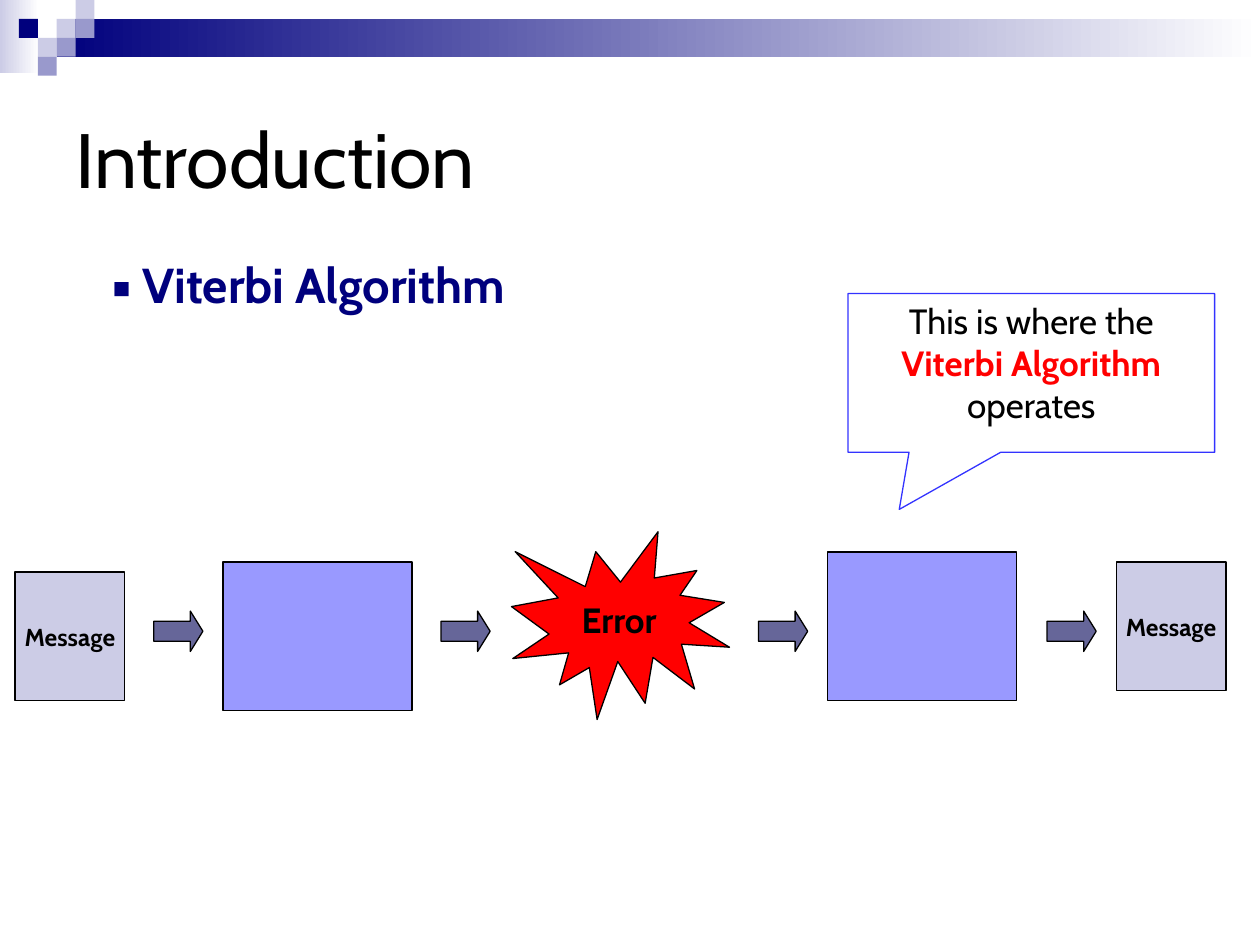
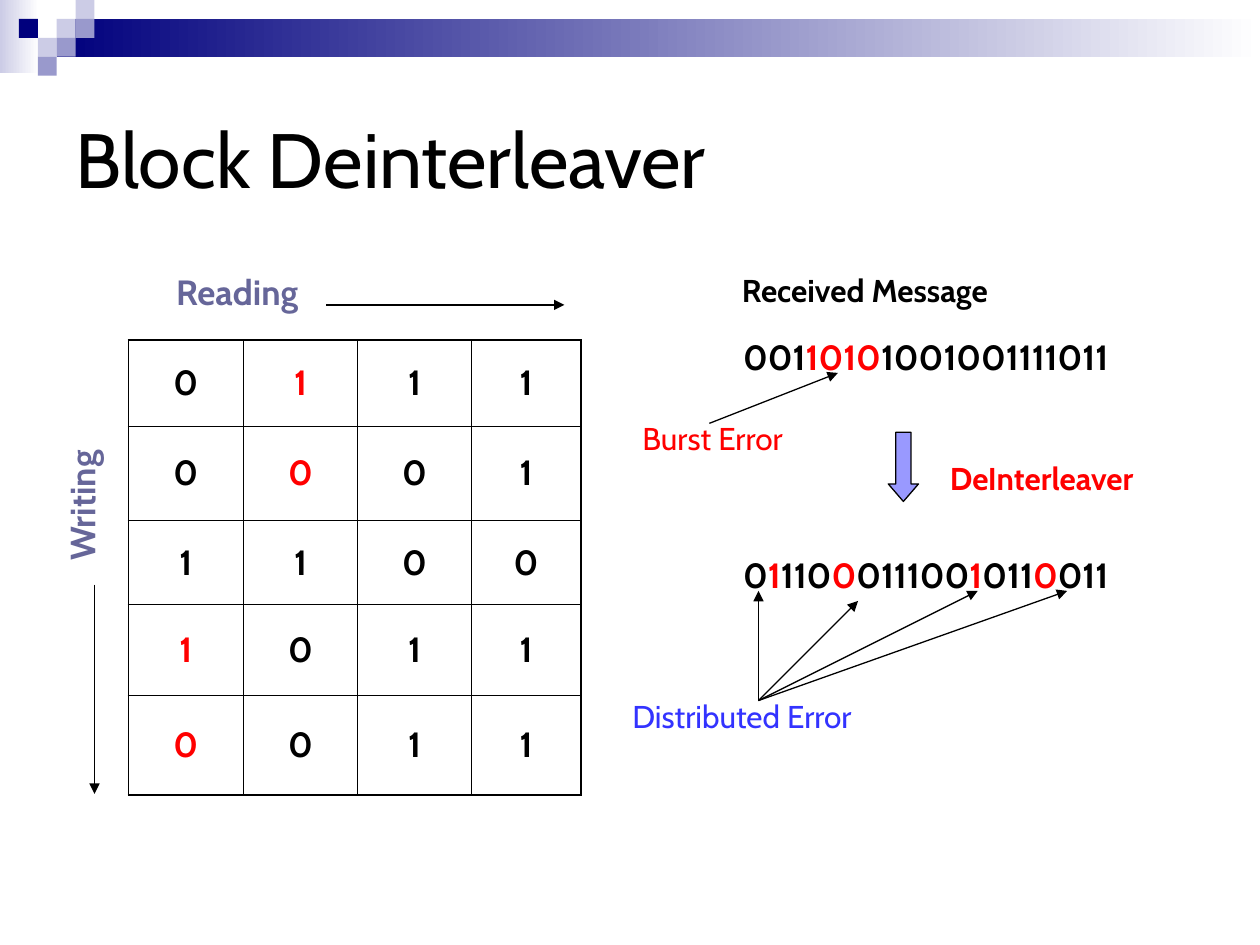
from dataclasses import dataclass
from itertools import groupby

from lxml import etree
from pptx import Presentation
from pptx.dml.color import RGBColor
from pptx.enum import shapes, text
from pptx.oxml import ns
from pptx import util as u

Inches, Pt = u.Inches, u.Pt
KIND = shapes.MSO_SHAPE
LEFT, CENTER = text.PP_ALIGN.LEFT, text.PP_ALIGN.CENTER
TOP, MIDDLE = text.MSO_ANCHOR.TOP, text.MSO_ANCHOR.MIDDLE


@dataclass(frozen=True)
class Theme:
    font: str = "Cabin"
    black: RGBColor = RGBColor(0x00, 0x00, 0x00)
    white: RGBColor = RGBColor(0xFF, 0xFF, 0xFF)
    navy: RGBColor = RGBColor(0x00, 0x00, 0x7D)
    pale: RGBColor = RGBColor(0xCC, 0xCC, 0xE6)
    mid: RGBColor = RGBColor(0x99, 0x99, 0xCC)
    violet: RGBColor = RGBColor(0x99, 0x99, 0xFF)
    slate: RGBColor = RGBColor(0x66, 0x66, 0x99)
    blue: RGBColor = RGBColor(0x33, 0x33, 0xFF)
    red: RGBColor = RGBColor(0xFF, 0x00, 0x00)
    title: int = 44
    heading: int = 28
    body: int = 20
    label: int = 18
    small: int = 14
    line: float = 0.75
    grid_inner: float = 0.45
    grid_outer: float = 1.08


THEME = Theme()


# --- Building blocks ---

def apply(target, values):
    for name, value in values.items():
        setattr(target, name, value)


def place(item, left, top, width, height):
    apply(item, {"left": Inches(left), "top": Inches(top),
                 "width": Inches(width), "height": Inches(height)})


def write(frame, spans, size, align=LEFT, anchor=TOP, wrap=True):
    """Fill a text frame with one paragraph of (text, colour, bold) spans."""
    apply(frame, {"word_wrap": wrap, "vertical_anchor": anchor,
                  "auto_size": text.MSO_AUTO_SIZE.NONE})
    para = frame.paragraphs[0]
    apply(para, {"alignment": align, "space_before": Pt(0)})
    for words, color, bold in spans:
        span = para.add_run()
        span.text = words
        apply(span.font, {"name": THEME.font, "size": Pt(size), "bold": bold})
        span.font.color.rgb = color


def add_text(page, at, spans, size):
    box = page.shapes.add_textbox(*map(Inches, at))
    write(box.text_frame, spans, size)
    return box


def add_shape(page, kind, at, fill, line=None, adjust=()):
    shape = page.shapes.add_shape(kind, *map(Inches, at))
    shape.shadow.inherit = False
    shape.fill.solid()
    shape.fill.fore_color.rgb = fill
    if line is None:
        shape.line.fill.background()
    else:
        shape.line.color.rgb = line
        shape.line.width = Pt(THEME.line)
    for index, value in enumerate(adjust):
        shape.adjustments[index] = value
    return shape


def add_fade(page, at, colors):
    """Rectangle that fades from left to right."""
    band = add_shape(page, KIND.RECTANGLE, at, THEME.white)
    band.fill.gradient()
    band.fill.gradient_angle = 0
    for stop, color in zip(band.fill.gradient_stops, colors):
        stop.color.rgb = color
    return band


def add_arrow(page, start, end):
    arrow = page.shapes.add_connector(shapes.MSO_CONNECTOR.STRAIGHT,
                                      *map(Inches, start + end))
    arrow.line.color.rgb = THEME.black
    arrow.line.width = Pt(THEME.line)
    etree.SubElement(arrow.line._get_or_add_ln(), ns.qn("a:tailEnd"), type="triangle")
    etree.SubElement(arrow.element.spPr, ns.qn("a:effectLst"))


def mark_errors(bits, errors):
    """Split a bit string into spans, with the error positions in red."""
    for wrong, group in groupby(enumerate(bits), lambda item: item[0] in errors):
        color = THEME.red if wrong else THEME.black
        yield "".join(bit for _, bit in group), color, True


def set_border(cell, side, width):
    edge = etree.SubElement(cell._tc.get_or_add_tcPr(), ns.qn("a:" + side),
                            w=str(int(Pt(width))))
    fill = etree.SubElement(edge, ns.qn("a:solidFill"))
    etree.SubElement(fill, ns.qn("a:srgbClr"), val=str(THEME.black))


def add_bit_table(page, at, rows, errors, widths, heights):
    frame = page.shapes.add_table(len(rows), len(widths), *map(Inches, at))
    table = frame.table
    apply(table, {"first_row": False, "horz_banding": False})
    for column, width in zip(table.columns, widths):
        column.width = Inches(width)
    for row, height in zip(table.rows, heights):
        row.height = Inches(height)
    for r, bits in enumerate(rows):
        for c, bit in enumerate(bits):
            cell = table.cell(r, c)
            color = THEME.red if (r, c) in errors else THEME.black
            write_cell(cell, bit, color)
            outer = {"lnL": c == 0, "lnR": c == len(widths) - 1,
                     "lnT": r == 0, "lnB": r == len(rows) - 1}
            for side, is_outer in outer.items():
                set_border(cell, side, THEME.grid_outer if is_outer else THEME.grid_inner)
            cell.fill.background()


def write_cell(cell, bit, color):
    cell.vertical_anchor = MIDDLE
    para = cell.text_frame.paragraphs[0]
    para.alignment = CENTER
    span = para.add_run()
    span.text = bit
    apply(span.font, {"name": THEME.font, "size": Pt(THEME.body), "bold": True})
    span.font.color.rgb = color


# --- Shared slide frame ---

def decorate_layout(layout, page):
    """Draw the top band on a page and move it to the layout all pages share."""
    unit = 0.15
    parts = [add_fade(page, (0, 0, 0.31, 0.58), (THEME.pale, THEME.white)),
             add_fade(page, (3 * unit, unit, 9.55, 2 * unit), (THEME.navy, THEME.white))]
    squares = {THEME.pale: [(3, 1), (4, 0), (2, 2)],
               THEME.mid: [(4, 1), (3, 2), (2, 3)],
               THEME.navy: [(1, 1)]}
    for color, cells in squares.items():
        for column, row in cells:
            at = (column * unit, row * unit, unit, unit)
            parts.append(add_shape(page, KIND.RECTANGLE, at, color))
    for part in parts:
        layout.shapes.element.append(part.element)


def add_page(deck, layout, title):
    page = deck.slides.add_slide(layout)
    place(page.shapes.title, 0.5, 0.5, 9, 1.5)
    write(page.shapes.title.text_frame, [(title, THEME.black, False)],
          THEME.title, anchor=MIDDLE)
    return page


# --- Slides ---

def fill_introduction(page):
    add_text(page, (0.79, 1.97, 4.01, 0.57),
             [("▪ Viterbi Algorithm", THEME.navy, True)], THEME.heading)

    # Transmission chain: message, encoder, error, decoder, message
    for left, top in ((1.77, 4.46), (6.57, 4.38)):
        add_shape(page, KIND.RECTANGLE, (left, top, 1.5, 1.18), THEME.violet, THEME.black)
    for left, top in ((0.12, 4.54), (8.86, 4.46)):
        message = add_shape(page, KIND.RECTANGLE, (left, top, 0.87, 1.02),
                            THEME.pale, THEME.black)
        write(message.text_frame, [("Message", THEME.black, True)], THEME.small,
              CENTER, MIDDLE, wrap=False)
    for left in (1.22, 3.5, 6.02, 8.31):
        add_shape(page, KIND.RIGHT_ARROW, (left, 4.85, 0.39, 0.32),
                  THEME.slate, THEME.black, (0.5, 0.31))
    burst = add_shape(page, KIND.EXPLOSION1, (4.06, 4.22, 1.73, 1.49),
                      THEME.red, THEME.black)
    write(burst.text_frame, [("Error", THEME.black, True)], THEME.body,
          CENTER, MIDDLE, wrap=False)

    # Callout over the decoder
    callout = add_shape(page, KIND.RECTANGULAR_CALLOUT, (6.73, 2.33, 2.91, 1.26),
                        THEME.white, THEME.blue, (-0.36, 0.86))
    write(callout.text_frame,
          [("This is where the ", THEME.black, False),
           ("Viterbi Algorithm ", THEME.red, True),
           ("operates", THEME.black, False)], THEME.body, CENTER)


def fill_deinterleaver(page):
    # Bit matrix with its reading and writing directions
    add_bit_table(page, (1.02, 2.7, 3.59, 3.61),
                  rows=("0111", "0001", "1100", "1011", "0011"),
                  errors={(0, 1), (1, 1), (3, 0), (4, 0)},
                  widths=(0.91, 0.91, 0.9, 0.87),
                  heights=(0.68, 0.75, 0.67, 0.72, 0.79))
    add_text(page, (1.3, 2.1, 1.33, 0.44), [("Reading", THEME.slate, True)], THEME.body)
    writing = add_text(page, (0.43, 3.4, 0.53, 1.15),
                       [("Writing", THEME.slate, True)], THEME.body)
    apply(writing.text_frame, {"margin_left": Inches(0.05), "margin_right": Inches(0.05),
                               "margin_top": Inches(0.1), "margin_bottom": Inches(0.1)})
    writing.text_frame._txBody.bodyPr.set("vert", "vert270")
    add_arrow(page, (2.59, 2.42), (4.48, 2.42))
    add_arrow(page, (0.75, 4.64), (0.75, 6.3))

    # Bit streams before and after
    streams = ((2.61, "00110101001001111011", range(3, 7)),
               (4.34, "01110001110010110011", (1, 5, 12, 16)))
    for top, bits, errors in streams:
        add_text(page, (5.8, top, 3.38, 0.44), mark_errors(bits, errors), THEME.body)
    add_shape(page, KIND.DOWN_ARROW, (7.05, 3.43, 0.24, 0.55),
              THEME.violet, THEME.black, (0.5, 0.58))

    # Labels
    labels = (((5.79, 2.1, 2.83, 0.4), "Received Message", THEME.black, True),
              ((5, 3.28, 1.73, 0.4), "Burst Error", THEME.red, False),
              ((4.92, 5.48, 2.13, 0.7), "Distributed Error", THEME.blue, False),
              ((7.44, 3.59, 2.56, 0.4), "DeInterleaver", THEME.red, True))
    for at, words, color, bold in labels:
        add_text(page, at, [(words, color, bold)], THEME.label)

    # Pointers to the errors
    for tip in ((6.02, 4.69), (6.81, 4.77), (7.76, 4.69), (8.47, 4.69)):
        add_arrow(page, (6.02, 5.56), tip)
    add_arrow(page, (5.63, 3.36), (6.65, 2.96))


def main():
    deck = Presentation()
    apply(deck, {"slide_width": Inches(10), "slide_height": Inches(7.5)})
    layout = deck.slide_layouts.get_by_name("Title Only")
    introduction = add_page(deck, layout, "Introduction")
    decorate_layout(layout, introduction)
    fill_introduction(introduction)
    fill_deinterleaver(add_page(deck, layout, "Block Deinterleaver"))
    deck.save("out.pptx")


if __name__ == "__main__":
    main()
